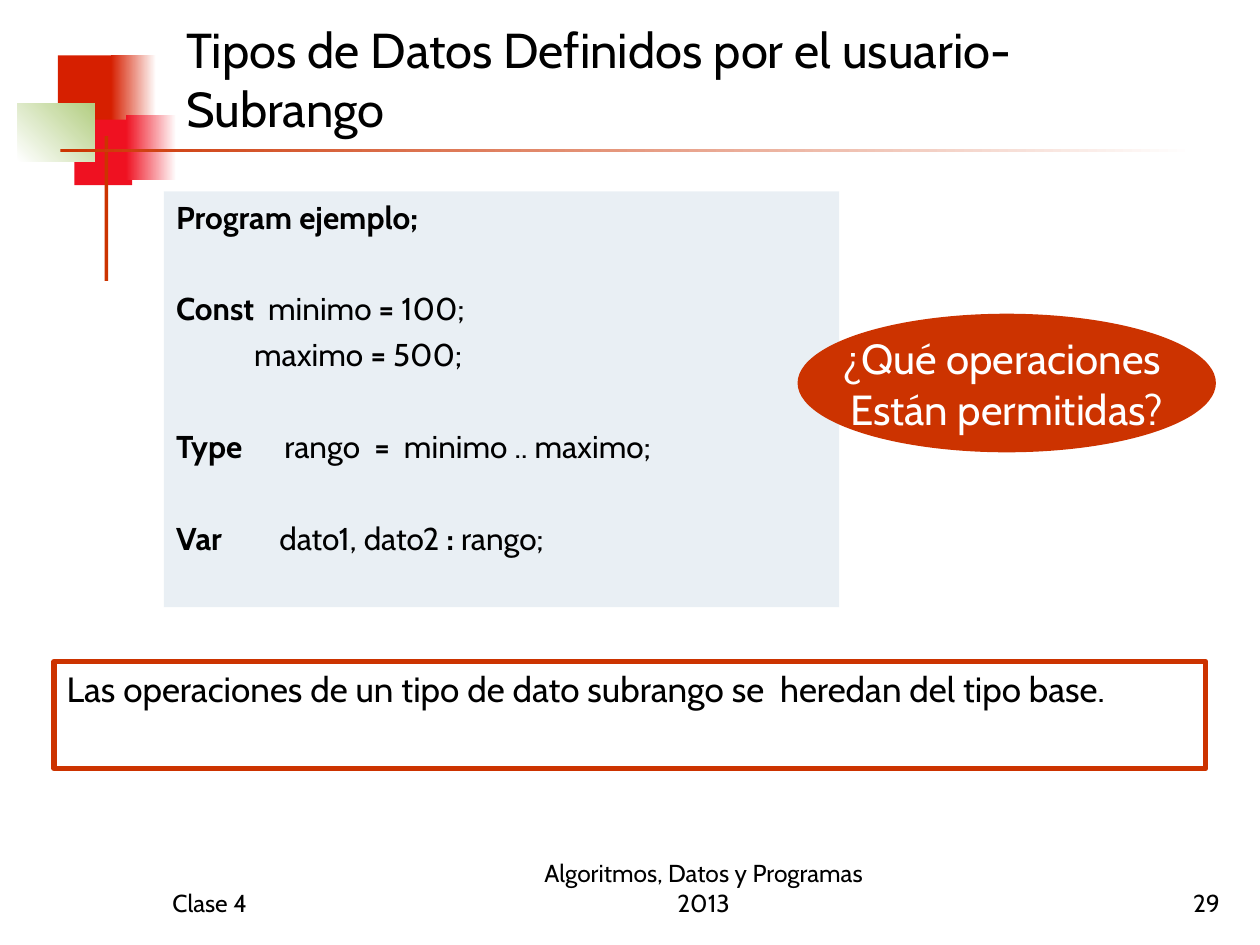
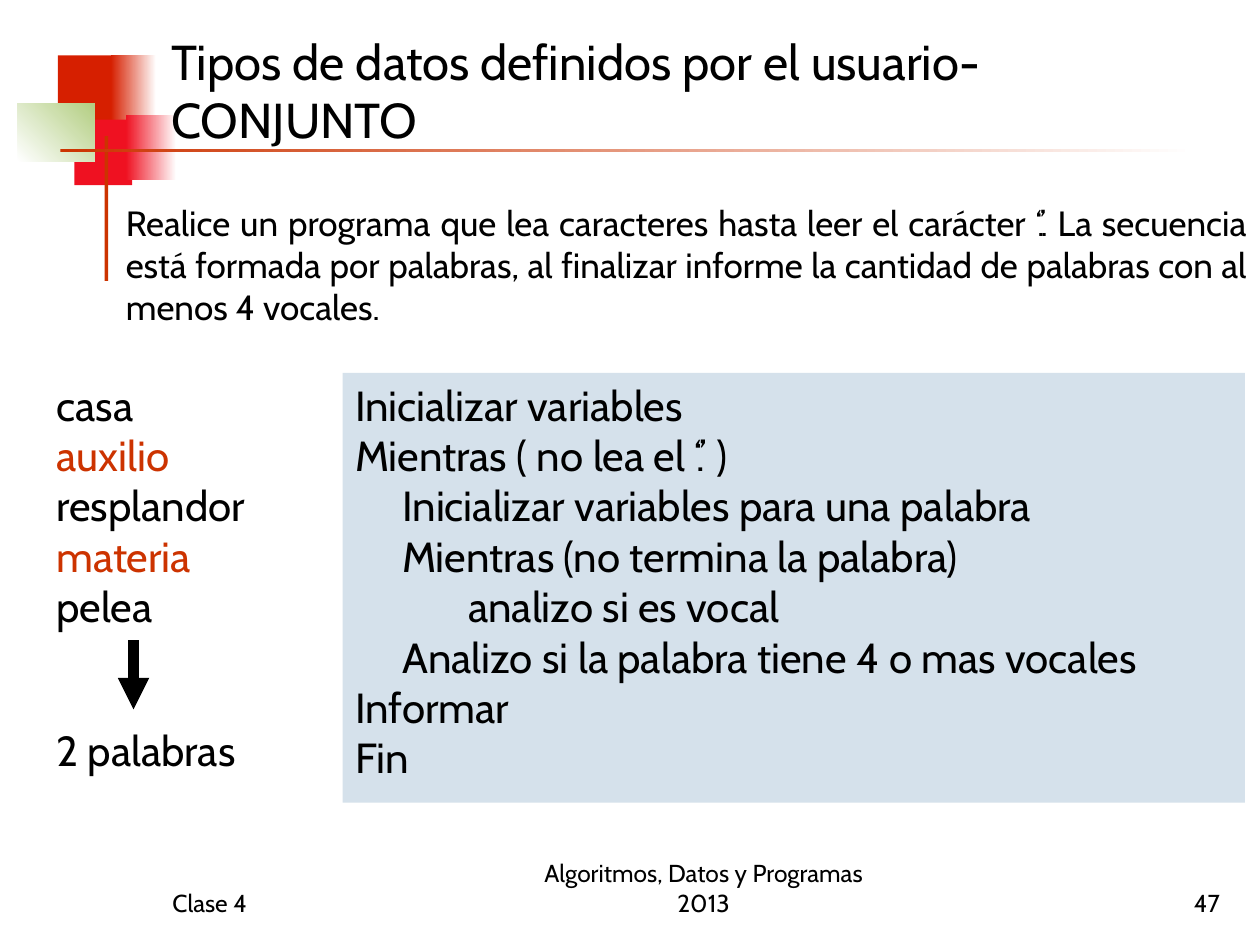
from lxml.etree import SubElement
from pptx import Presentation
from pptx.dml.color import RGBColor as RGB
from pptx.enum.shapes import MSO_CONNECTOR as CONNECTOR, MSO_SHAPE as SHAPE
from pptx.enum.text import MSO_ANCHOR as ANCHOR, PP_ALIGN as ALIGN
from pptx.oxml.ns import qn
from pptx.util import Inches, Pt

COLORS = {
    "black": "000000", "white": "FFFFFF", "accent": "CC3300", "brick": "D61F00",
    "red": "EF1121", "green": "B3CE82", "panel": "D5E1EB",
}
FONT = "Cabin"


def write(box, lines, size, align=ALIGN.LEFT, anchor=ANCHOR.TOP, wrap=True):
    frame = box.text_frame
    frame.word_wrap = wrap
    frame.vertical_anchor = anchor
    for number, line in enumerate(lines):
        paragraph = frame.paragraphs[0] if number == 0 else frame.add_paragraph()
        paragraph.alignment = align
        for text, bold, color in line:
            run = paragraph.add_run()
            run.text = text
            run.font.name = FONT
            run.font.size = Pt(size)
            run.font.bold = bold
            run.font.color.rgb = RGB.from_string(COLORS[color])
    return frame


def draw(slide, preset, place, fills=(), angle=0):
    shape = slide.shapes.add_shape(preset, *map(Inches, place))
    shape.shadow.inherit = False
    shape.line.fill.background()
    if len(fills) == 2:
        shape.fill.gradient()
        shape.fill.gradient_angle = angle
        for stop, color in zip(shape.fill.gradient_stops, fills):
            stop.color.rgb = RGB.from_string(COLORS[color])
    elif fills:
        shape.fill.solid()
        shape.fill.fore_color.rgb = RGB.from_string(COLORS[fills[0]])
    else:
        shape.fill.background()
    return shape


deck = Presentation()
deck.slide_width, deck.slide_height = Inches(10), Inches(7.5)

emblem = [
    ((0.46, 0.44, 0.48, 0.52), ["brick"], 0),
    ((0.88, 0.44, 0.36, 0.52), ["brick", "white"], 0),
    ((0.59, 0.95, 0.46, 0.52), ["red"], 0),
    ((1, 0.91, 0.4, 0.52), ["red", "white"], 0),
    ((0.14, 0.82, 0.61, 0.46), ["white", "green"], 45),
    ((0.83, 1.08, 0.03, 1.15), ["accent"], 0),
    ((0.48, 1.18, 9, 0.03), ["accent", "white"], 0),
]
headings = [
    ("Tipos de Datos Definidos por el usuario- Subrango",
     (1.38, 0.16, 8.17, 0.92), ANCHOR.MIDDLE, "29"),
    ("Tipos de datos definidos por el usuario-CONJUNTO",
     (1.26, 0.23, 8.52, 1), ANCHOR.BOTTOM, "47"),
]

slides = []
for title, place, anchor, page in headings:
    slide = deck.slides.add_slide(deck.slide_layouts[6])
    slides.append(slide)
    for part, fills, angle in emblem:
        draw(slide, SHAPE.RECTANGLE, part, fills, angle)
    heading = slide.shapes.add_textbox(*map(Inches, place))
    write(heading, [[(title, False, "black")]], 28, anchor=anchor)
    for text, left, width, align in [
        ("Clase 4", 1.27, 2.08, ALIGN.LEFT),
        ("Algoritmos, Datos y Programas 2013", 4, 3.17, ALIGN.CENTER),
        (page, 7.7, 2.08, ALIGN.RIGHT),
    ]:
        footer = slide.shapes.add_textbox(*map(Inches, (left, 6.83, width, 0.5)))
        write(footer, [[(text, False, "black")]], 14, align, ANCHOR.BOTTOM)

subrange, sets = slides

program = draw(subrange, SHAPE.RECTANGLE, (1.3, 1.52, 5.36, 3.3), ["panel"])
panel_color = program.fill._xPr.find(".//" + qn("a:srgbClr"))
SubElement(panel_color, qn("a:alpha"), val="50000")
code = [
    ([("Program ejemplo;", True)], 0, None),
    ([("Const", True), ("\tminimo ", False), ("=", True), (" 100;", False)], 30.8, 0.73),
    ([("           maximo ", False), ("=", True), (" 500;", False)], 4.5, None),
    ([("Type", True), ("\trango  ", False), ("=", True),
      ("  minimo .. maximo;", False)], 30.8, 0.86),
    ([("Var", True), ("\tdato1, dato2 ", False), (":", True), (" rango;", False)], 30.8, 0.82),
]
listing = write(
    program, [[(text, bold, "black") for text, bold in runs] for runs, _, _ in code], 18)
for paragraph, (_, gap, stop) in zip(listing.paragraphs, code):
    if gap:
        paragraph.space_before = Pt(gap)
    if stop:
        tabs = SubElement(paragraph._p.get_or_add_pPr(), qn("a:tabLst"))
        SubElement(tabs, qn("a:tab"), pos=str(Inches(stop)), algn="l")

question = draw(subrange, SHAPE.OVAL, (6.33, 2.49, 3.32, 1.1), ["accent"])
write(question, [[("¿Qué operaciones ", False, "white")],
                 [("Están permitidas?", False, "white")]],
      24, ALIGN.CENTER, ANCHOR.MIDDLE, wrap=False)

answer = draw(subrange, SHAPE.RECTANGLE, (0.43, 5.25, 9.14, 0.85))
answer.line.color.rgb = RGB.from_string(COLORS["accent"])
answer.line.width = Pt(3)
write(answer, [[("Las operaciones de un tipo de dato subrango se  heredan del tipo base.",
                 False, "black")]], 20, ALIGN.JUSTIFY)

exercise = (
    "Realice un programa que lea caracteres hasta leer el carácter ‘.’. La secuencia "
    "está formada por palabras, al finalizar informe la cantidad de palabras con al "
    "menos 4 vocales. "
)
words = [("casa", "black"), ("auxilio", "accent"), ("resplandor", "black"),
         ("materia", "accent"), ("pelea", "black")]
for place, lines, size in [
    ((0.9, 1.55, 9.1, 1.5), [(exercise, "black")], 20),
    ((0.35, 2.96, 2.27, 1.99), words, 24),
    ((0.35, 5.7, 2.03, 0.62), [("2 palabras", "black")], 24),
]:
    note = sets.shapes.add_textbox(*map(Inches, place))
    write(note, [[(text, False, color)] for text, color in lines], size, ALIGN.JUSTIFY)

pseudocode = [
    "Inicializar variables",
    "Mientras ( no lea el ‘.’ )",
    "     Inicializar variables para una palabra",
    "     Mientras (no termina la palabra)",
    "            analizo si es vocal",
    "     Analizo si la palabra tiene 4 o mas vocales",
    "Informar",
    "Fin ",
]
algorithm = draw(sets, SHAPE.RECTANGLE, (2.72, 2.96, 7.16, 3.41), ["panel"])
write(algorithm, [[(step, False, "black")] for step in pseudocode], 24, ALIGN.JUSTIFY)

result_arrow = sets.shapes.add_connector(
    CONNECTOR.STRAIGHT, *map(Inches, (1.06, 5.08, 1.06, 5.63)))
result_arrow.line.color.rgb = RGB.from_string(COLORS["black"])
result_arrow.line.width = Pt(6)
SubElement(result_arrow.line._get_or_add_ln(), qn("a:tailEnd"), type="triangle")
SubElement(result_arrow._element.spPr, qn("a:effectLst"))

deck.save("out.pptx")
